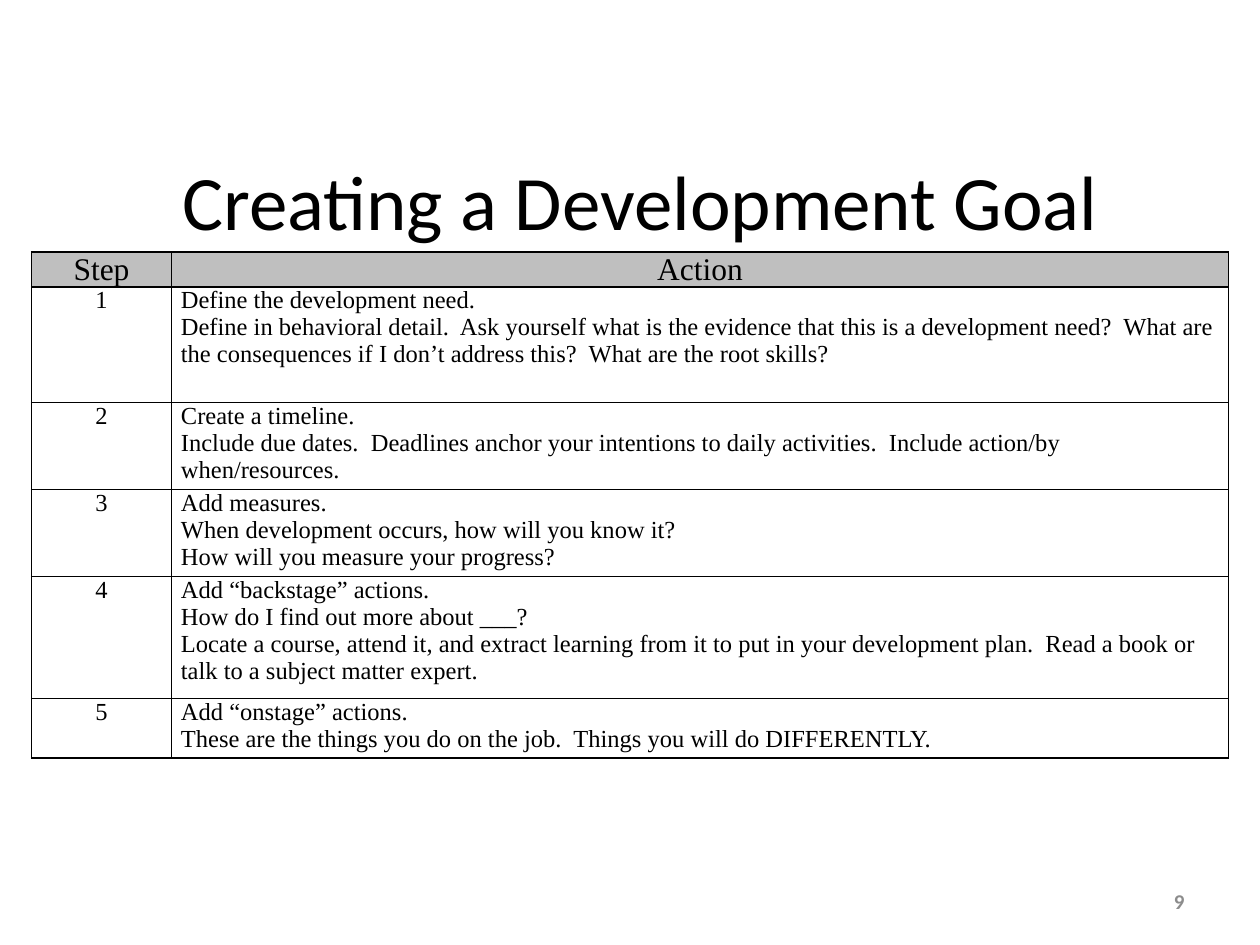
from dataclasses import dataclass

from lxml import etree
from pptx import Presentation
from pptx.dml.color import RGBColor
from pptx.enum.text import MSO_ANCHOR, MSO_AUTO_SIZE, PP_ALIGN
from pptx.oxml.ns import qn
from pptx.util import Pt

LEFT, CENTER, RIGHT = PP_ALIGN.LEFT, PP_ALIGN.CENTER, PP_ALIGN.RIGHT
TOP, MIDDLE = MSO_ANCHOR.TOP, MSO_ANCHOR.MIDDLE
NO_AUTOFIT = MSO_AUTO_SIZE.NONE

BLACK = RGBColor(0x00, 0x00, 0x00)
WHITE = RGBColor(0xFF, 0xFF, 0xFF)
HEADER_GRAY = RGBColor(0xBF, 0xBF, 0xBF)
NUMBER_GRAY = RGBColor(0x8C, 0x8C, 0x8C)

TITLE_ONLY = 5
COLUMN_WIDTHS = (80, 604)


@dataclass(frozen=True)
class TextStyle:
    font: str
    size: float
    color: RGBColor = BLACK
    bold: bool = False


@dataclass(frozen=True)
class Step:
    height: float
    lines: tuple[str, ...]


TITLE_STYLE = TextStyle("Calibri", 44)
NUMBER_STYLE = TextStyle("Calibri", 12, NUMBER_GRAY, True)
HEADER_STYLE = TextStyle("Times New Roman", 18)
BODY_STYLE = TextStyle("Times New Roman", 14)
HEADER_HEIGHT = 19

STEPS = (
    Step(66, (
        "Define the development need.",
        "Define in behavioral detail.  Ask yourself what is the evidence that this is "
        "a development need?  What are the consequences if I don’t address this?  "
        "What are the root skills?",
    )),
    Step(49.7, (
        "Create a timeline.",
        "Include due dates.  Deadlines anchor your intentions to daily activities.  "
        "Include action/by when/resources.",
    )),
    Step(49.7, (
        "Add measures.",
        "When development occurs, how will you know it?",
        "How will you measure your progress?",
    )),
    Step(69.8, (
        "Add “backstage” actions.",
        "How do I find out more about ___?",
        "Locate a course, attend it, and extract learning from it to put in your "
        "development plan.  Read a book or talk to a subject matter expert.",
    )),
    Step(34, (
        "Add “onstage” actions.",
        "These are the things you do on the job.  Things you will do DIFFERENTLY.",
    )),
)


def write_lines(frame, lines: tuple[str, ...], style: TextStyle, align) -> None:
    for index, line in enumerate(lines):
        paragraph = frame.add_paragraph() if index else frame.paragraphs[0]
        paragraph.alignment = align
        run = paragraph.add_run()
        run.text = line
        run.font.name = style.font
        run.font.size = Pt(style.size)
        run.font.bold = style.bold
        run.font.color.rgb = style.color


def add_borders(cell) -> None:
    properties = cell._tc.get_or_add_tcPr()
    for side in ("lnL", "lnR", "lnT", "lnB"):
        border = etree.SubElement(properties, qn(f"a:{side}"), w=str(Pt(1)))
        fill = etree.SubElement(border, qn("a:solidFill"))
        etree.SubElement(fill, qn("a:srgbClr"), val=str(BLACK))


def fill_cell(cell, lines: tuple[str, ...], style: TextStyle, align, color: RGBColor) -> None:
    add_borders(cell)
    cell.fill.solid()
    cell.fill.fore_color.rgb = color
    cell.margin_left = cell.margin_right = Pt(5.4)
    cell.margin_top = cell.margin_bottom = 0
    cell.vertical_anchor = TOP
    write_lines(cell.text_frame, lines, style, align)


def add_steps_table(slide) -> None:
    heights = (HEADER_HEIGHT, *(step.height for step in STEPS))
    table = slide.shapes.add_table(
        len(heights), len(COLUMN_WIDTHS), Pt(18), Pt(144),
        Pt(sum(COLUMN_WIDTHS)), Pt(sum(heights)),
    ).table
    for column, width in zip(table.columns, COLUMN_WIDTHS):
        column.width = Pt(width)
    for row, height in zip(table.rows, heights):
        row.height = Pt(height)
    for column, heading in enumerate(("Step", "Action")):
        fill_cell(table.cell(0, column), (heading,), HEADER_STYLE, CENTER, HEADER_GRAY)
    for number, step in enumerate(STEPS, start=1):
        fill_cell(table.cell(number, 0), (str(number),), BODY_STYLE, CENTER, WHITE)
        fill_cell(table.cell(number, 1), step.lines, BODY_STYLE, LEFT, WHITE)


def add_title(slide) -> None:
    title = slide.shapes.title
    title.left, title.top, title.width, title.height = Pt(42), Pt(84), Pt(648), Pt(84)
    frame = title.text_frame
    frame.word_wrap = True
    frame.auto_size = NO_AUTOFIT
    frame.vertical_anchor = TOP
    write_lines(frame, ("Creating a Development Goal",), TITLE_STYLE, CENTER)


def add_page_number(slide) -> None:
    frame = slide.shapes.add_textbox(Pt(516), Pt(500.5), Pt(168), Pt(28.8)).text_frame
    frame.word_wrap = True
    frame.vertical_anchor = MIDDLE
    write_lines(frame, ("9",), NUMBER_STYLE, RIGHT)


def main() -> None:
    presentation = Presentation()
    presentation.slide_width = Pt(720)
    presentation.slide_height = Pt(540)
    slide = presentation.slides.add_slide(presentation.slide_layouts[TITLE_ONLY])
    add_title(slide)
    add_steps_table(slide)
    add_page_number(slide)
    presentation.save("out.pptx")


if __name__ == "__main__":
    main()
